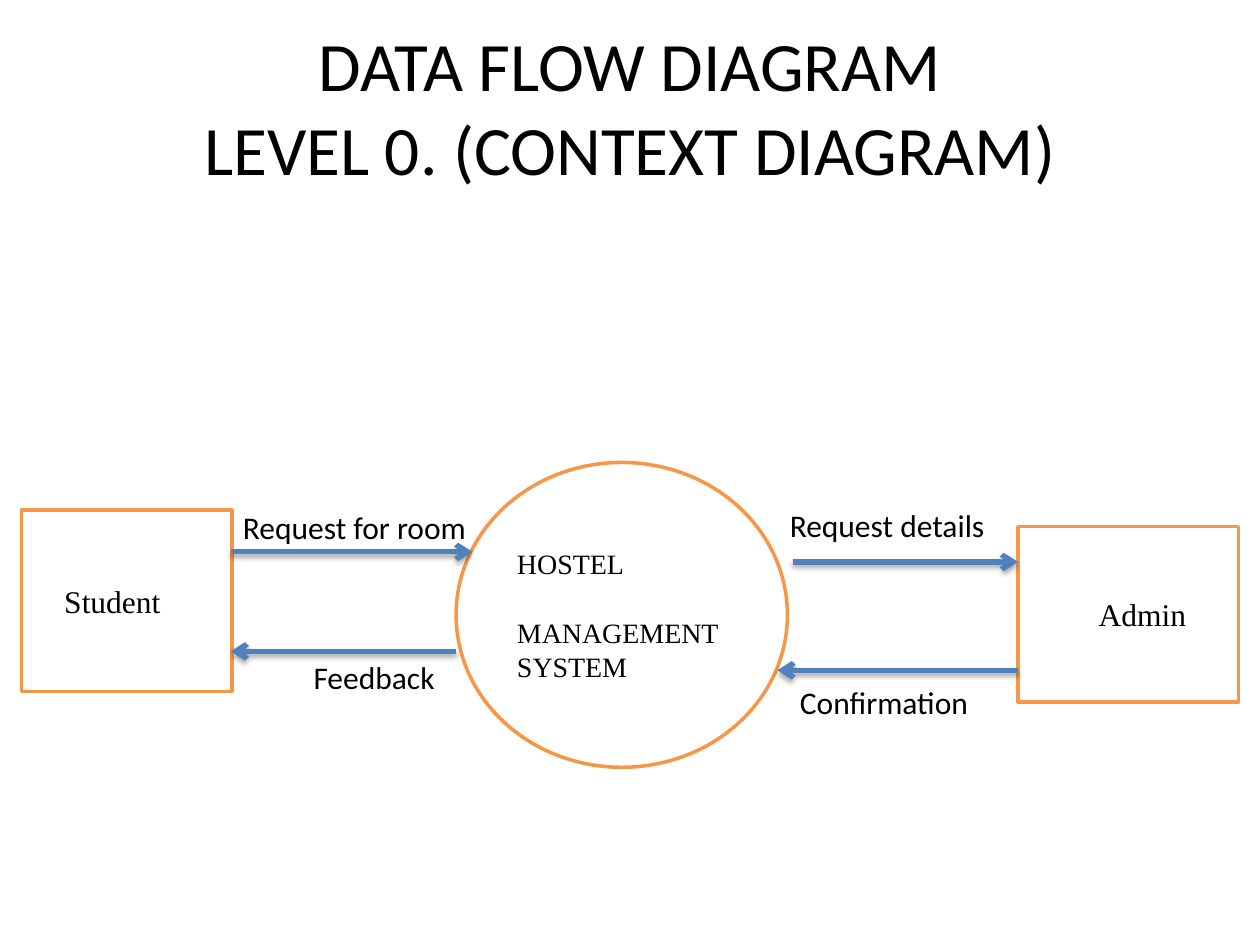
from lxml import etree
from pptx import Presentation
from pptx.dml.color import RGBColor
from pptx.enum.shapes import MSO_CONNECTOR, MSO_SHAPE
from pptx.enum.text import MSO_ANCHOR, PP_ALIGN
from pptx.oxml import parse_xml
from pptx.oxml.ns import nsdecls, qn
from pptx.util import Inches, Pt

RECTANGLE, ELLIPSE = MSO_SHAPE.RECTANGLE, MSO_SHAPE.OVAL
STRAIGHT = MSO_CONNECTOR.STRAIGHT
LEFT, CENTER = PP_ALIGN.LEFT, PP_ALIGN.CENTER
TOP, MIDDLE = MSO_ANCHOR.TOP, MSO_ANCHOR.MIDDLE

BLACK = RGBColor(0x00, 0x00, 0x00)
WHITE = RGBColor(0xFF, 0xFF, 0xFF)
ORANGE = RGBColor(0xF7, 0x96, 0x46)
BLUE = RGBColor(0x4F, 0x81, 0xBD)

ARROW_SHADOW = f"""<a:effectLst {nsdecls("a")}>
  <a:outerShdw blurRad="{Pt(3.1)}" dist="{Pt(1.8)}" dir="5400000" rotWithShape="0">
    <a:srgbClr val="000000"><a:alpha val="35000"/></a:srgbClr>
  </a:outerShdw>
</a:effectLst>"""


def write_text(frame, text, size=18, font="Calibri", align=LEFT, anchor=TOP,
               wrap=True, gap=0):
    """Fill a text frame, one paragraph per line, with gap points between them."""
    frame.text = text
    frame.word_wrap = wrap
    frame.vertical_anchor = anchor
    for index, paragraph in enumerate(frame.paragraphs):
        paragraph.alignment = align
        paragraph.space_before = Pt(gap if index else 0)
        for run in paragraph.runs:
            run.font.size = Pt(size)
            run.font.name = font
            run.font.color.rgb = BLACK


def add_title(slide, text):
    title = slide.shapes.title
    title.left, title.top = Inches(0.75), Inches(0.33)
    title.width, title.height = Inches(8.5), Inches(1.67)
    # A deep bottom inset lifts the two centred lines.
    title.text_frame.margin_bottom = Inches(0.7)
    write_text(title.text_frame, text, size=39.6, align=CENTER, anchor=MIDDLE)


def add_node(slide, kind, text, left, top, width, height, inset=0.1, **text_format):
    node = slide.shapes.add_shape(
        kind, Inches(left), Inches(top), Inches(width), Inches(height))
    node.shadow.inherit = False
    node.fill.solid()
    node.fill.fore_color.rgb = WHITE
    node.line.color.rgb = ORANGE
    node.line.width = Pt(2)
    node.text_frame.margin_left = Inches(inset)
    write_text(node.text_frame, text, font="Times New Roman", anchor=MIDDLE,
               **text_format)


def add_flow_arrow(slide, start_x, end_x, y):
    arrow = slide.shapes.add_connector(
        STRAIGHT, Inches(start_x), Inches(y), Inches(end_x), Inches(y))
    arrow.line.color.rgb = BLUE
    arrow.line.width = Pt(3)
    etree.SubElement(arrow.line._get_or_add_ln(), qn("a:tailEnd"), type="arrow")
    arrow._element.spPr.append(parse_xml(ARROW_SHADOW))


def add_flow_label(slide, text, left, top, width):
    label = slide.shapes.add_textbox(
        Inches(left), Inches(top), Inches(width), Inches(0.4))
    write_text(label.text_frame, text, wrap=False)


def main():
    presentation = Presentation()
    presentation.slide_width, presentation.slide_height = Inches(10), Inches(7.5)
    slide = presentation.slides.add_slide(presentation.slide_layouts[5])

    add_title(slide, "DATA FLOW DIAGRAM\nLEVEL 0. (CONTEXT DIAGRAM)")
    add_node(slide, RECTANGLE, "Student", 0.17, 4.05, 1.67, 1.44, inset=0.34)
    add_node(slide, RECTANGLE, "Admin", 8.08, 4.18, 1.75, 1.39, inset=0.64)
    add_node(slide, ELLIPSE, "HOSTEL\nMANAGEMENT SYSTEM", 3.62, 3.67, 2.63, 2.42,
             size=16, gap=20)

    for start_x, end_x, y in ((3.62, 1.83, 5.17), (1.83, 3.75, 4.38),
                              (8.08, 6.17, 5.32), (6.29, 8.08, 4.46)):
        add_flow_arrow(slide, start_x, end_x, y)

    for text, left, top, width in (("Request for room", 1.83, 3.98, 1.99),
                                   ("Feedback", 2.39, 5.17, 1.23),
                                   ("Request details", 6.17, 3.97, 1.76),
                                   ("Confirmation", 6.25, 5.37, 1.61)):
        add_flow_label(slide, text, left, top, width)

    presentation.save("out.pptx")


if __name__ == "__main__":
    main()
